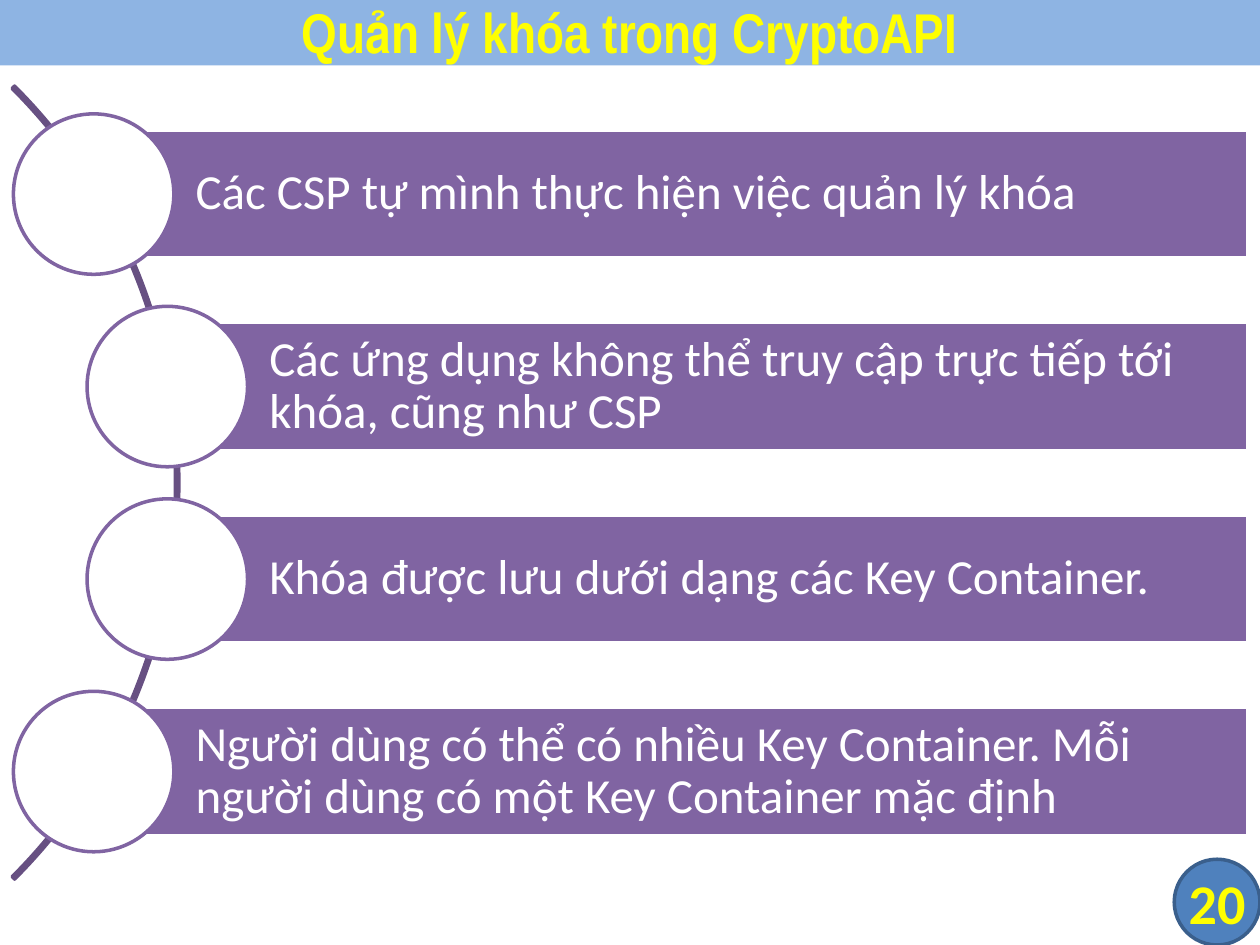
from dataclasses import dataclass

import pptx
import pptx.dml.color
import pptx.enum.shapes
import pptx.enum.text
import pptx.util

Pt = pptx.util.Pt
SHAPE = pptx.enum.shapes.MSO_SHAPE
ALIGN = pptx.enum.text.PP_ALIGN
MIDDLE = pptx.enum.text.MSO_ANCHOR.MIDDLE

PURPLE, WHITE, YELLOW = "8064A2", "FFFFFF", "FFFF00"
BAR_RIGHT, BAR_HEIGHT = 713, 73.4
FIRST_CENTER, PITCH = 110.9, 110
CIRCLE = 91.7
OUTER, INNER = 53.5, 95.6


@dataclass
class Point:
    center_x: float
    text: str


POINTS = [
    Point(OUTER, "Các CSP tự mình thực hiện việc quản lý khóa"),
    Point(INNER, "Các ứng dụng không thể truy cập trực tiếp tới khóa, cũng như CSP"),
    Point(INNER, "Khóa được lưu dưới dạng các Key Container."),
    Point(OUTER, "Người dùng có thể có nhiều Key Container. Mỗi người dùng "
                 "có một Key Container mặc định"),
]


def color(value: str) -> pptx.dml.color.RGBColor:
    return pptx.dml.color.RGBColor.from_string(value)


def add_shape(slide, kind, left: float, top: float, width: float, height: float,
              line: str, fill: str | None = None):
    shape = slide.shapes.add_shape(kind, Pt(left), Pt(top), Pt(width), Pt(height))
    shape.shadow.inherit = False
    if fill:
        shape.fill.solid()
        shape.fill.fore_color.rgb = color(fill)
    else:
        shape.fill.background()
    shape.line.color.rgb = color(line)
    shape.line.width = Pt(2)
    return shape


def write(shape, text: str, size: float, font: str, font_color: str, bold: bool,
          align, insets: tuple[float, float, float, float]):
    """Fill the shape with one paragraph; insets run left, top, right, bottom."""
    frame = shape.text_frame
    frame.word_wrap = True
    frame.auto_size = pptx.enum.text.MSO_AUTO_SIZE.NONE
    frame.vertical_anchor = MIDDLE
    (frame.margin_left, frame.margin_top,
     frame.margin_right, frame.margin_bottom) = map(Pt, insets)
    frame.text = text
    paragraph = frame.paragraphs[0]
    paragraph.alignment = align
    paragraph.font.size = Pt(size)
    paragraph.font.name = font
    paragraph.font.bold = bold
    paragraph.font.color.rgb = color(font_color)
    return paragraph


def add_title(slide, text: str) -> None:
    title = slide.shapes.title
    title.left, title.top, title.width, title.height = map(Pt, (0, -2.2, 720, 39.6))
    title.fill.solid()
    title.fill.fore_color.rgb = color("8EB4E3")
    write(title, text, 32, "Arial Narrow", YELLOW, True, ALIGN.CENTER, (7.2, 3.6, 7.2, 3.6))


def add_page_badge(slide, number: str) -> None:
    badge = add_shape(slide, SHAPE.FLOWCHART_CONNECTOR, 671, 491, 49, 49,
                      "3A5F8C", "4F81BD")
    write(badge, number, 32, "Calibri", YELLOW, True, ALIGN.CENTER, (0, 0, 0, 0))


def add_arc(slide) -> None:
    arc = add_shape(slide, SHAPE.BLOCK_ARC, -538.6, -44.6, 640.8, 640.8, "675082")
    for index, value in enumerate((189, 27, 0.003)):
        arc.adjustments[index] = value


def add_point(slide, point: Point, center_y: float) -> None:
    bar = add_shape(slide, SHAPE.RECTANGLE, point.center_x, center_y - BAR_HEIGHT / 2,
                    BAR_RIGHT - point.center_x, BAR_HEIGHT, WHITE, PURPLE)
    paragraph = write(bar, point.text, 28, "Calibri", WHITE, False, ALIGN.LEFT,
                      (58.3, 5.6, 5.6, 5.6))
    paragraph.line_spacing = 0.9
    add_shape(slide, SHAPE.OVAL, point.center_x - CIRCLE / 2, center_y - CIRCLE / 2,
              CIRCLE, CIRCLE, PURPLE, WHITE)


def main() -> None:
    deck = pptx.Presentation()
    deck.slide_width, deck.slide_height = Pt(720), Pt(540)
    slide = deck.slides.add_slide(deck.slide_layouts.get_by_name("Title Only"))
    add_title(slide, "Quản lý khóa trong CryptoAPI")
    add_page_badge(slide, "20")
    add_arc(slide)
    for row, point in enumerate(POINTS):
        add_point(slide, point, FIRST_CENTER + row * PITCH)
    deck.save("out.pptx")


if __name__ == "__main__":
    main()
